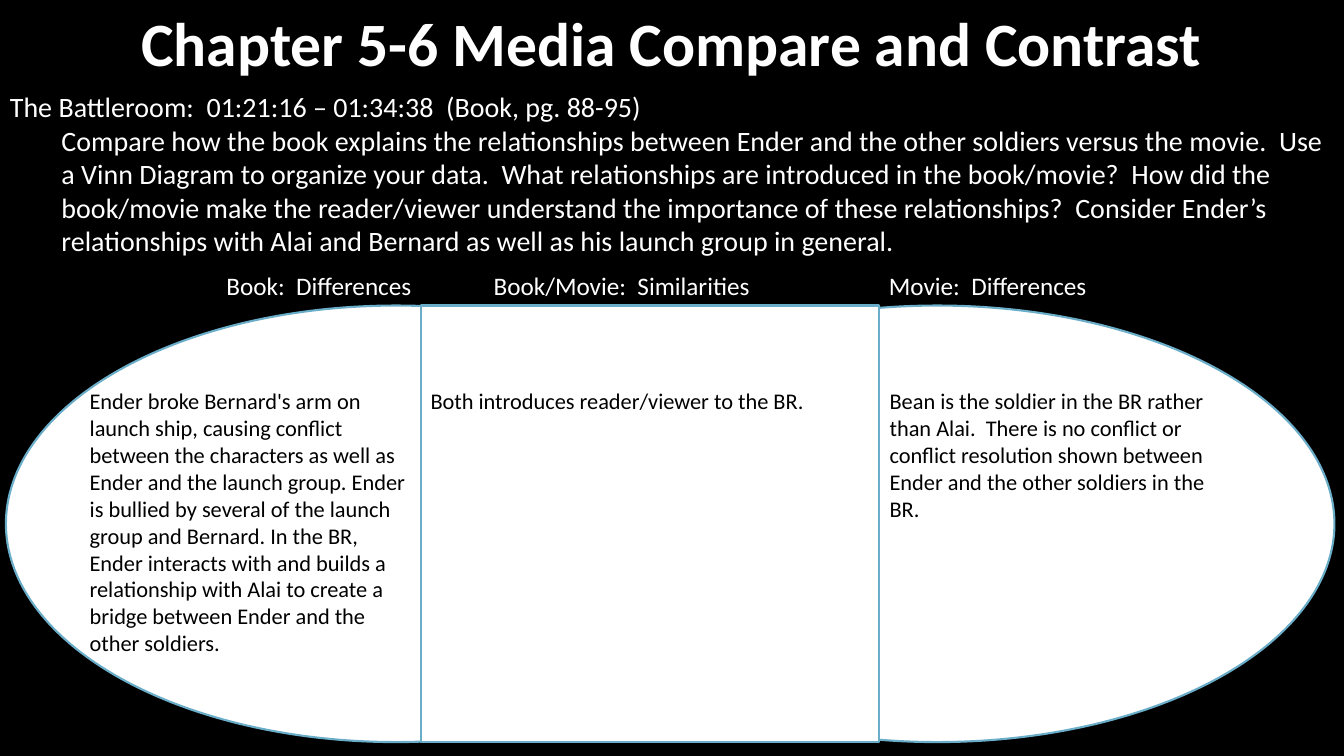
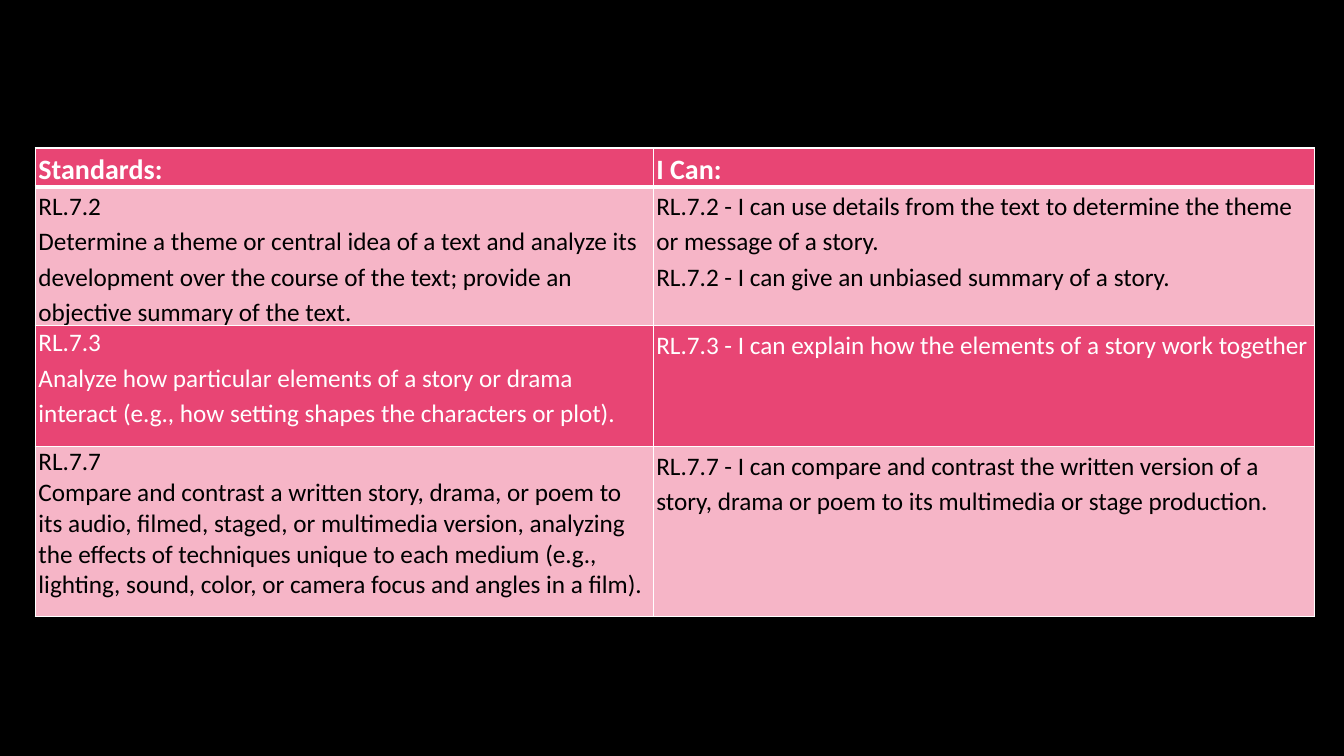
"""Build a book and film comparison slide and a table of reading standards."""
from lxml import etree
from pptx import Presentation
from pptx.dml.color import RGBColor
from pptx.enum.shapes import MSO_SHAPE
from pptx.enum.text import PP_ALIGN
from pptx.oxml.ns import qn
from pptx.util import Cm, Pt

BLACK = RGBColor(0x00, 0x00, 0x00)
WHITE = RGBColor(0xFF, 0xFF, 0xFF)
BLUE = RGBColor(0x6A, 0xAD, 0xC8)
PINK = RGBColor(0xE8, 0x45, 0x74)
PALE_PINK = RGBColor(0xF6, 0xB5, 0xC7)
FONT = "Calibri"


def write(frame, lines, size, color, bold=False, align=PP_ALIGN.LEFT):
    for index, line in enumerate(lines):
        paragraph = frame.paragraphs[0] if index == 0 else frame.add_paragraph()
        paragraph.text = line
        paragraph.alignment = align
        paragraph.font.name = FONT
        paragraph.font.size = Pt(size)
        paragraph.font.bold = bold
        paragraph.font.color.rgb = color
    return frame.paragraphs


def add_text(slide, box, lines, size, color, bold=False, align=PP_ALIGN.LEFT, wrap=True):
    frame = slide.shapes.add_textbox(*map(Cm, box)).text_frame
    frame.word_wrap = wrap
    return write(frame, lines, size, color, bold, align)


deck = Presentation()
deck.slide_width, deck.slide_height = Cm(33.87), Cm(19.05)
comparison, standards = [deck.slides.add_slide(deck.slide_layouts[6]) for _ in range(2)]
for slide in (comparison, standards):
    slide.background.fill.solid()
    slide.background.fill.fore_color.rgb = BLACK

add_text(comparison, (3.18, 0, 27.51, 2.13), ["Chapter 5-6 Media Compare and Contrast"],
         44, WHITE, bold=True, align=PP_ALIGN.CENTER, wrap=False)
task = add_text(comparison, (0, 2.13, 33.87, 4.52), [
    "The Battleroom:  01:21:16 – 01:34:38  (Book, pg. 88-95)",
    "Compare how the book explains the relationships between Ender and the other soldiers "
    "versus the movie.  Use a Vinn Diagram to organize your data.  What relationships are "
    "introduced in the book/movie?  How did the book/movie make the reader/viewer understand "
    "the importance of these relationships?  Consider Ender’s relationships with Alai and "
    "Bernard as well as his launch group in general.",
], 20, WHITE)
task[1]._p.get_or_add_pPr().set("marL", str(Cm(1.3)))

for outline, left, width in (
    (MSO_SHAPE.OVAL, 0.15, 19.66),
    (MSO_SHAPE.OVAL, 13.61, 20.02),
    (MSO_SHAPE.RECTANGLE, 10.62, 11.53),
):
    region = comparison.shapes.add_shape(outline, Cm(left), Cm(7.7), Cm(width), Cm(11))
    region.shadow.inherit = False
    region.fill.solid()
    region.fill.fore_color.rgb = WHITE
    region.line.color.rgb = BLUE
    region.line.width = Pt(1.5)

for left, width, label, align in (
    (4.47, 6.15, "Book:  Differences", PP_ALIGN.RIGHT),
    (22.15, 5.61, "Movie:  Differences", PP_ALIGN.LEFT),
    (12.19, 7.65, "Book/Movie:  Similarities", PP_ALIGN.LEFT),
):
    add_text(comparison, (left, 6.68, width, 1.02), [label], 18, WHITE, align=align)

for left, width, height, finding in (
    (2.01, 8.56, 7.09,
     "Ender broke Bernard's arm on launch ship, causing conflict between the characters as "
     "well as Ender and the launch group. Ender is bullied by several of the launch group and "
     "Bernard. In the BR, Ender interacts with and builds a relationship with Alai to create "
     "a bridge between Ender and the other soldiers."),
    (10.6, 11.53, 0.94, "Both introduces reader/viewer to the BR."),
    (22.17, 9.14, 3.68,
     "Bean is the soldier in the BR rather than Alai.  There is no conflict or conflict "
     "resolution shown between Ender and the other soldiers in the BR."),
):
    add_text(comparison, (left, 9.64, width, height), [finding], 16, BLACK)

ROWS = [
    (["Standards:"], ["I Can:"]),
    (["RL.7.2",
      "Determine a theme or central idea of a text and analyze its development over the "
      "course of the text; provide an objective summary of the text."],
     ["RL.7.2 - I can use details from the text to determine the theme or message of a story.",
      "RL.7.2 - I can give an unbiased summary of a story."]),
    (["RL.7.3",
      "Analyze how particular elements of a story or drama interact (e.g., how setting "
      "shapes the characters or plot)."],
     ["RL.7.3 - I can explain how the elements of a story work together"]),
    (["RL.7.7",
      "Compare and contrast a written story, drama, or poem to its audio, filmed, staged, or "
      "multimedia version, analyzing the effects of techniques unique to each medium (e.g., "
      "lighting, sound, color, or camera focus and angles in a film)."],
     ["RL.7.7 - I can compare and contrast the written version of a story, drama or poem to "
      "its multimedia or stage production."]),
]
COLUMN_WIDTHS = (15.57, 16.66)
ROW_HEIGHTS = (0.91, 3.18, 3.05, 4.27)

grid = standards.shapes.add_table(len(ROWS), len(COLUMN_WIDTHS), Cm(0.89), Cm(3.73),
                                  Cm(sum(COLUMN_WIDTHS)), Cm(sum(ROW_HEIGHTS))).table
grid.horz_banding = False
for column, width in zip(grid.columns, COLUMN_WIDTHS):
    column.width = Cm(width)
for row, height in zip(grid.rows, ROW_HEIGHTS):
    row.height = Cm(height)

for r, row_texts in enumerate(ROWS):
    header = r == 0
    dark = r % 2 == 0
    for c, lines in enumerate(row_texts):
        cell = grid.cell(r, c)
        cell.margin_left = cell.margin_right = Cm(0.08)
        cell.margin_top = cell.margin_bottom = 0
        paragraphs = write(cell.text_frame, lines, 20 if header else 18,
                           WHITE if dark else BLACK, bold=header)
        for paragraph in paragraphs:
            paragraph.line_spacing = 1.0 if (r, c) == (3, 0) else 1.15
        if r >= 2 and c == 1:
            paragraphs[0].space_after = Pt(10)
        borders = {"L": 1, "R": 1, "T": 3 if r == 1 else 1, "B": 3 if header else 1}
        for side, points in borders.items():
            edge = etree.SubElement(cell._tc.get_or_add_tcPr(), qn(f"a:ln{side}"),
                                    w=str(Pt(points)))
            paint = etree.SubElement(edge, qn("a:solidFill"))
            etree.SubElement(paint, qn("a:srgbClr"), val=str(WHITE))
        cell.fill.solid()
        cell.fill.fore_color.rgb = PINK if dark else PALE_PINK
grid.cell(2, 0).text_frame.paragraphs[0].line_spacing = 1.07

deck.save("out.pptx")
